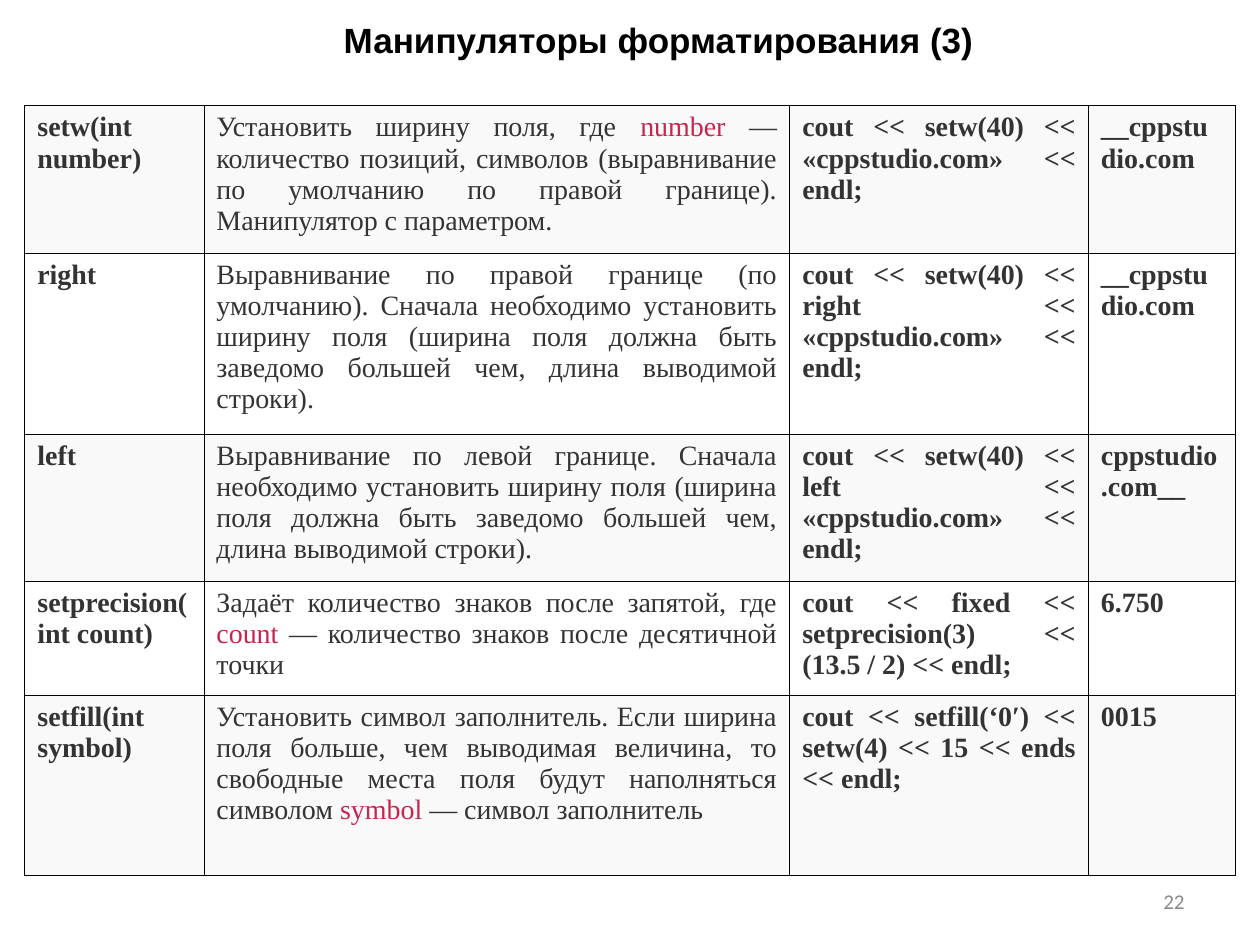
"""Build a slide with a table of C++ stream formatting manipulators."""
from dataclasses import dataclass

from lxml import etree
from pptx import Presentation
from pptx.dml.color import RGBColor
from pptx.enum.text import MSO_ANCHOR, PP_ALIGN
from pptx.oxml.ns import qn
from pptx.util import Cm, Pt

LEFT, RIGHT, JUSTIFY = PP_ALIGN.LEFT, PP_ALIGN.RIGHT, PP_ALIGN.JUSTIFY
MIDDLE = MSO_ANCHOR.MIDDLE

TITLE = "Манипуляторы форматирования (3)"
PAGE_NUMBER = "22"
KEYWORDS = ("number", "count", "symbol")
ROWS = [
    ("setw(int number)",
     ("Установить ширину поля, где ", "number",
      " — количество позиций, символов (выравнивание по умолчанию по правой границе). Манипулятор с параметром."),
     "cout << setw(40) << «cppstudio.com» << endl;",
     "__cppstudio.com"),
    ("right",
     ("Выравнивание по правой границе (по умолчанию). Сначала необходимо установить ширину поля "
      "(ширина поля должна быть заведомо большей чем, длина выводимой строки).",),
     "cout << setw(40) << right << «cppstudio.com» << endl;",
     "__cppstudio.com"),
    ("left",
     ("Выравнивание по левой границе. Сначала необходимо установить ширину поля "
      "(ширина поля должна быть заведомо большей чем, длина выводимой строки).",),
     "cout << setw(40) << left << «cppstudio.com» << endl;",
     "cppstudio.com__"),
    ("setprecision(int count)",
     ("Задаёт количество знаков после запятой, где ", "count",
      " — количество знаков после десятичной точки"),
     "cout << fixed << setprecision(3) << (13.5 / 2) << endl;",
     "6.750"),
    ("setfill(int symbol)",
     ("Установить символ заполнитель. Если ширина поля больше, чем выводимая величина, "
      "то свободные места поля будут наполняться символом ", "symbol", " — символ заполнитель"),
     "cout << setfill(‘0′) << setw(4) << 15 << ends << endl;",
     "0015"),
]
COLUMN_WIDTHS = (3.61, 11.81, 6.02, 2.97)
ROW_HEIGHTS = (2.97, 3.65, 2.97, 2.29, 3.64)


@dataclass(frozen=True)
class Theme:
    title_font: str = "Arial"
    table_font: str = "Times New Roman"
    number_font: str = "Calibri"
    title_size: float = 20
    table_size: float = 16
    number_size: float = 12
    border_width: float = 0.45
    black: str = "000000"
    text: str = "333333"
    keyword: str = "C7254E"
    muted: str = "898989"
    row_fills: tuple = ("F9F9F9", "FFFFFF")


THEME = Theme()


def style_paragraph(paragraph, name, size, color, bold, alignment):
    paragraph.alignment = alignment
    font = paragraph.font
    font.name, font.size, font.bold = name, Pt(size), bold
    font.color.rgb = RGBColor.from_string(color)


def add_label(slide, text, box, wrap, **style):
    shape = slide.shapes.add_textbox(*map(Cm, box))
    frame = shape.text_frame
    frame.word_wrap, frame.vertical_anchor = wrap, MIDDLE
    paragraph = frame.paragraphs[0]
    paragraph.add_run().text = text
    style_paragraph(paragraph, **style)


def add_borders(cell):
    properties = cell._tc.get_or_add_tcPr()
    for index, side in enumerate(("a:lnL", "a:lnR", "a:lnT", "a:lnB")):
        line = etree.Element(qn(side), w=str(Pt(THEME.border_width)))
        fill = etree.SubElement(line, qn("a:solidFill"))
        etree.SubElement(fill, qn("a:srgbClr"), val=THEME.black)
        properties.insert(index, line)


def fill_cell(cell, content, color):
    is_description = isinstance(content, tuple)
    cell.fill.solid()
    cell.fill.fore_color.rgb = RGBColor.from_string(color)
    add_borders(cell)
    paragraph = cell.text_frame.paragraphs[0]
    for part in content if is_description else (content,):
        run = paragraph.add_run()
        run.text = part
        if part in KEYWORDS:
            run.font.color.rgb = RGBColor.from_string(THEME.keyword)
    style_paragraph(paragraph, THEME.table_font, THEME.table_size, THEME.text,
                    not is_description, JUSTIFY)


def add_manipulator_table(slide):
    frame = slide.shapes.add_table(
        len(ROWS), len(COLUMN_WIDTHS), Cm(0.5), Cm(2.13),
        Cm(sum(COLUMN_WIDTHS)), Cm(sum(ROW_HEIGHTS)))
    table = frame.table
    table.first_row = table.horz_banding = False
    for column, width in zip(table.columns, COLUMN_WIDTHS):
        column.width = Cm(width)
    for index, (row, height) in enumerate(zip(table.rows, ROW_HEIGHTS)):
        row.height = Cm(height)
        for cell, content in zip(row.cells, ROWS[index]):
            fill_cell(cell, content, THEME.row_fills[index % 2])


def main():
    presentation = Presentation()
    presentation.slide_width, presentation.slide_height = Cm(25.4), Cm(19.05)
    slide = presentation.slides.add_slide(presentation.slide_layouts[6])
    add_label(slide, TITLE, (6.68, 0.23, 13.2, 1.12), False, name=THEME.title_font,
              size=THEME.title_size, color=THEME.black, bold=True, alignment=LEFT)
    add_manipulator_table(slide)
    add_label(slide, PAGE_NUMBER, (18.2, 17.66, 5.93, 1.01), True, name=THEME.number_font,
              size=THEME.number_size, color=THEME.muted, bold=False, alignment=RIGHT)
    presentation.save("out.pptx")


if __name__ == "__main__":
    main()
